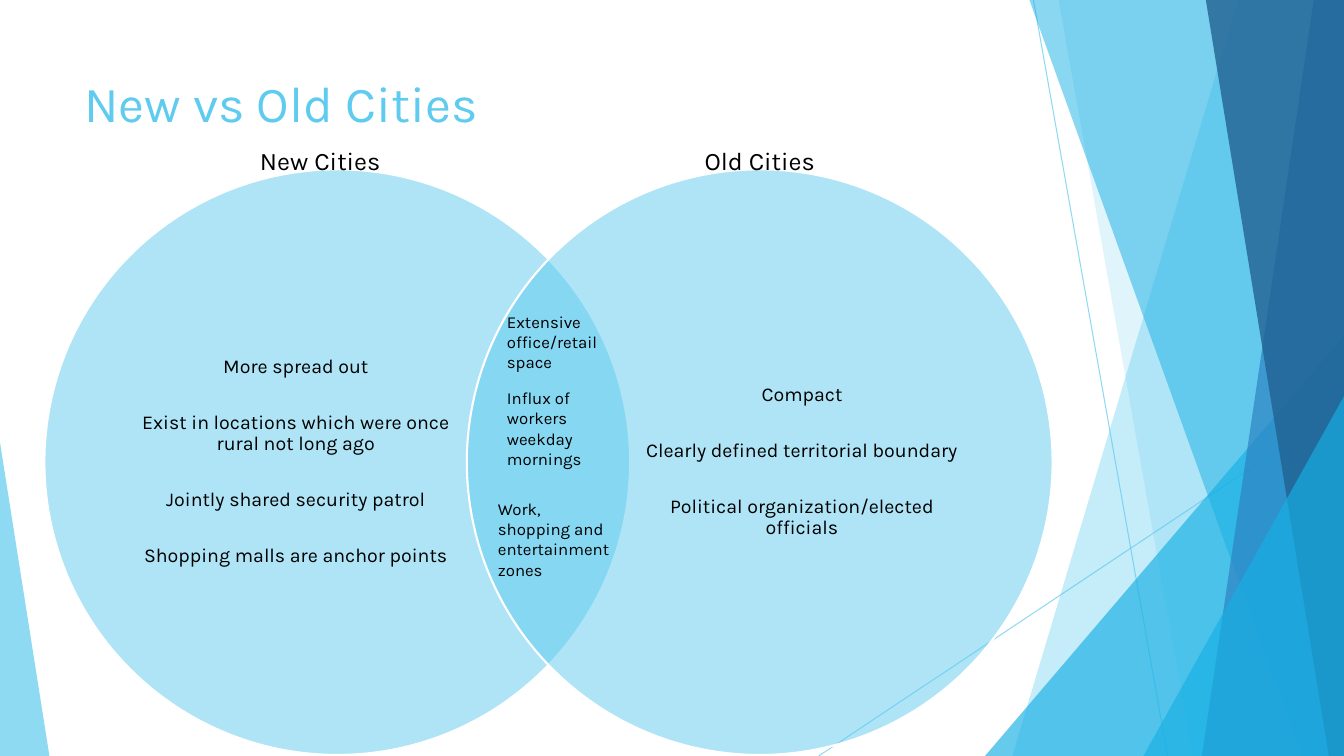
from lxml import etree
from pptx import Presentation
from pptx.dml.color import RGBColor
from pptx.enum.shapes import MSO_CONNECTOR, MSO_SHAPE
from pptx.enum.text import MSO_ANCHOR, PP_ALIGN
from pptx.oxml.ns import qn
from pptx.util import Inches, Pt

STRAIGHT = MSO_CONNECTOR.STRAIGHT
TRIANGLE = MSO_SHAPE.ISOSCELES_TRIANGLE
OVAL = MSO_SHAPE.OVAL
TOP, MIDDLE = MSO_ANCHOR.TOP, MSO_ANCHOR.MIDDLE
LEFT, CENTER = PP_ALIGN.LEFT, PP_ALIGN.CENTER

WIDTH, HEIGHT = 13.33, 7.5
FONT = "Karla"
COLORS = {
    "sky": "5FCBEF",
    "cyan": "17B0E4",
    "blue": "2E83C3",
    "navy": "226292",
    "white": "FFFFFF",
    "black": "000000",
}


class VennSlide:
    """Draws styled elements on one slide."""

    def __init__(self, prs):
        self.s = prs.slides.add_slide(prs.slide_layouts[6])

    def paint(self, fmt, color, alpha=100):
        fmt.solid()
        fmt.fore_color.rgb = RGBColor.from_string(COLORS[color])
        if alpha < 100:
            clr = fmt._xPr.find(qn("a:solidFill"))[0]
            etree.SubElement(clr, qn("a:alpha"), val=str(alpha * 1000))

    def finish(self, sp, color, alpha):
        sp.shadow.inherit = False
        self.paint(sp.fill, color, alpha)
        sp.line.fill.background()

    def line(self, x1, y1, x2, y2):
        cn = self.s.shapes.add_connector(
            STRAIGHT, Inches(x1), Inches(y1), Inches(x2), Inches(y2))
        cn.line.width = Pt(0.75)
        self.paint(cn.line.fill, "sky", 70)
        etree.SubElement(cn._element.spPr, qn("a:effectLst"))

    def facet(self, top_x, bottom_x, color, alpha):
        fb = self.s.shapes.build_freeform(Inches(top_x), 0, scale=1.0)
        corners = [(WIDTH, 0), (WIDTH, HEIGHT), (bottom_x, HEIGHT)]
        fb.add_line_segments([(Inches(x), Inches(y)) for x, y in corners])
        self.finish(fb.convert_to_shape(), color, alpha)

    def triangle(self, x, y, w, apex, color, alpha):
        sp = self.s.shapes.add_shape(
            TRIANGLE, Inches(x), Inches(y), Inches(w), Inches(HEIGHT - y))
        sp.adjustments[0] = apex
        self.finish(sp, color, alpha)

    def circle(self, x, y, d):
        sp = self.s.shapes.add_shape(
            OVAL, Inches(x), Inches(y), Inches(d), Inches(d))
        self.finish(sp, "sky", 50)
        self.paint(sp.line.fill, "white")
        sp.line.width = Pt(1.5)

    def text(self, x, y, w, h, lines, size, color="black", align=LEFT,
             anchor=TOP, inset=(0.1, 0.05), spacing=1.0, gap=0):
        tf = self.s.shapes.add_textbox(
            Inches(x), Inches(y), Inches(w), Inches(h)).text_frame
        tf.word_wrap = True
        tf.vertical_anchor = anchor
        tf.margin_left = tf.margin_right = Inches(inset[0])
        tf.margin_top = tf.margin_bottom = Inches(inset[1])
        for i, line in enumerate(lines):
            p = tf.add_paragraph() if i else tf.paragraphs[0]
            p.text = line
            p.alignment = align
            p.line_spacing = spacing
            if i:
                p.space_before = Pt(gap)
            p.font.name = FONT
            p.font.size = Pt(size)
            p.font.color.rgb = RGBColor.from_string(COLORS[color])

    def city(self, circle_x, list_x, label_x, label, points):
        self.circle(circle_x, 1.68, 5.81)
        self.text(list_x, 2.36, 3.35, 4.44, points, 14, align=CENTER,
                  anchor=MIDDLE, inset=(0, 0), spacing=0.9, gap=25)
        self.text(label_x, 1.39, 1.43, 0.4, [label], 18)


def main():
    prs = Presentation()
    prs.slide_width, prs.slide_height = Inches(WIDTH), Inches(HEIGHT)
    venn = VennSlide(prs)

    venn.line(10.25, 0, 11.58, HEIGHT)
    venn.line(WIDTH, 4.03, 8.12, HEIGHT)
    venn.facet(12.28, 10.04, "sky", 36)
    venn.facet(10.5, 11.83, "sky", 20)
    venn.triangle(9.77, 3.33, 3.56, 1, "cyan", 66)
    venn.facet(10.21, 12.91, "cyan", 50)
    venn.facet(13.03, 11.92, "blue", 70)
    venn.facet(11.96, 13.18, "navy", 80)
    venn.triangle(11.34, 3.93, 1.99, 1, "cyan", 66)
    venn.triangle(0, 4.39, 0.49, 0, "sky", 70)

    venn.text(0.74, 0.67, 9.4, 1.44, ["New vs Old Cities"], 36, "sky")
    venn.city(0.44, 1.26, 2.48, "New Cities", [
        "More spread out",
        "Exist in locations which were once rural not long ago",
        "Jointly shared security patrol",
        "Shopping malls are anchor points",
    ])
    venn.city(4.63, 6.28, 6.89, "Old Cities", [
        "Compact",
        "Clearly defined territorial boundary",
        "Political organization/elected officials",
    ])

    shared = [
        (4.93, 3.04, 1.23, 0.71, "Extensive office/retail space"),
        (4.93, 3.8, 1.23, 0.91, "Influx of workers weekday mornings"),
        (4.84, 4.9, 1.33, 0.91, "Work, shopping and entertainment zones"),
    ]
    for x, y, w, h, trait in shared:
        venn.text(x, y, w, h, [trait], 12)

    prs.save("out.pptx")


if __name__ == "__main__":
    main()
